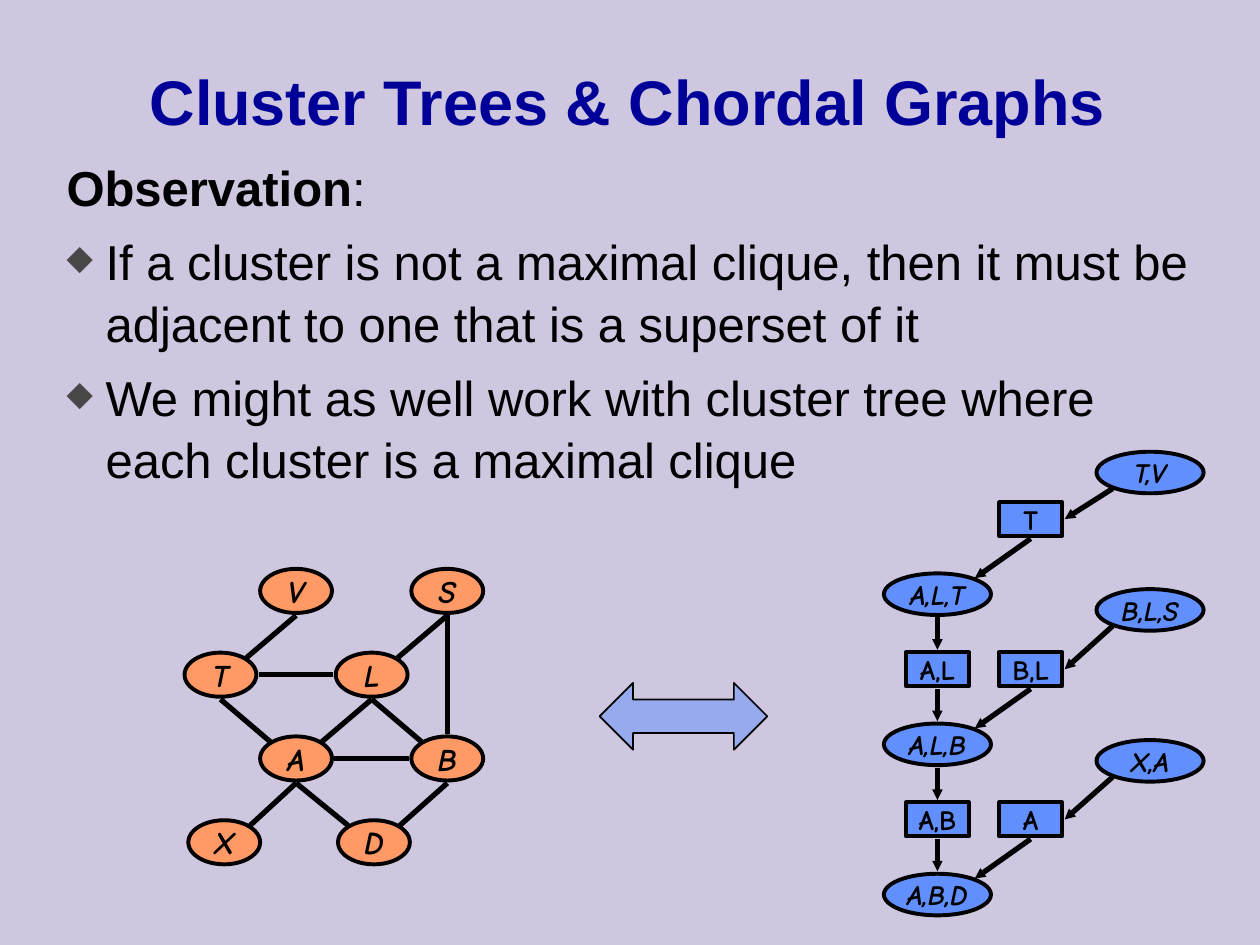
from dataclasses import dataclass

from lxml import etree
from pptx import Presentation
from pptx.dml.color import RGBColor
from pptx.enum.shapes import MSO_CONNECTOR, MSO_SHAPE
from pptx.enum.text import MSO_ANCHOR, PP_ALIGN
from pptx.oxml.ns import qn
from pptx.util import Inches, Pt

ELLIPSE, RECTANGLE = MSO_SHAPE.OVAL, MSO_SHAPE.RECTANGLE
DOUBLE_ARROW = MSO_SHAPE.LEFT_RIGHT_ARROW
STRAIGHT = MSO_CONNECTOR.STRAIGHT
MIDDLE, TOP_ANCHOR = MSO_ANCHOR.MIDDLE, MSO_ANCHOR.TOP
CENTER, LEFT_ALIGNED = PP_ALIGN.CENTER, PP_ALIGN.LEFT

BACKGROUND = RGBColor(0xCE, 0xC7, 0xDF)
NAVY = RGBColor(0x00, 0x00, 0x99)
BLACK = RGBColor(0x00, 0x00, 0x00)
ORANGE = RGBColor(0xFF, 0x99, 0x66)
BLUE = RGBColor(0x61, 0x8F, 0xFD)
BULLET_GRAY = RGBColor(0x47, 0x47, 0x47)
TEXT_FONT, NODE_FONT = "Arial", "Comic Neue"

# Anchors on a node, as shares of its half width and half height
TOP, BOTTOM, LEFT, RIGHT = (0, -1), (0, 1), (-1, 0), (1, 0)
UPPER_LEFT, UPPER_RIGHT, LOWER_LEFT = (-0.65, -0.65), (0.65, -0.65), (-0.65, 0.65)
EDGE_GAP = 0.02


@dataclass(frozen=True)
class Grid:
    """Centre of the first cell and the pitch, in inches."""
    left: float
    top: float
    column: float
    row: float


@dataclass(frozen=True)
class NodeStyle:
    shape_type: int
    width: float
    height: float
    fill: RGBColor
    font_size: int
    italic: bool


@dataclass(frozen=True)
class Node:
    label: str
    column: float
    row: float
    style: NodeStyle


@dataclass(frozen=True)
class Edge:
    start: str
    start_side: tuple
    end: str
    end_side: tuple


VERTEX = NodeStyle(ELLIPSE, 0.57, 0.35, ORANGE, 18, True)
CLUSTER = NodeStyle(ELLIPSE, 0.85, 0.33, BLUE, 16, True)
SEPARATOR = NodeStyle(RECTANGLE, 0.5, 0.27, BLUE, 16, False)

GRAPH_GRID = Grid(1.75, 4.69, 0.6, 0.665)
GRAPH_NODES = [
    Node(label, column, row, VERTEX)
    for label, column, row in [
        ("V", 1, 0), ("S", 3, 0), ("T", 0, 1), ("L", 2, 1),
        ("A", 1, 2), ("B", 3, 2), ("X", 0.05, 3), ("D", 2.03, 3),
    ]
]
GRAPH_EDGES = [
    Edge("V", BOTTOM, "T", UPPER_RIGHT), Edge("S", BOTTOM, "L", UPPER_RIGHT),
    Edge("S", BOTTOM, "B", TOP), Edge("T", RIGHT, "L", LEFT),
    Edge("T", BOTTOM, "A", UPPER_LEFT), Edge("L", BOTTOM, "A", UPPER_RIGHT),
    Edge("L", BOTTOM, "B", UPPER_LEFT), Edge("A", RIGHT, "B", LEFT),
    Edge("A", BOTTOM, "X", UPPER_RIGHT), Edge("A", BOTTOM, "D", UPPER_LEFT),
    Edge("B", BOTTOM, "D", UPPER_RIGHT),
]

TREE_GRID = Grid(7.44, 4.12, 0.74, 2.98 / 5)
TREE_NODES = [
    Node("T,V", 2.28, -0.62, CLUSTER), Node("B,L,S", 2.28, 1.21, CLUSTER),
    Node("X,A", 2.28, 3.22, CLUSTER), Node("A,L,T", 0, 1, CLUSTER),
    Node("A,L,B", 0, 3, CLUSTER), Node("A,B,D", 0, 5, CLUSTER),
    Node("T", 1, 0, SEPARATOR), Node("B,L", 1, 2, SEPARATOR),
    Node("A", 1, 4, SEPARATOR), Node("A,L", 0, 2, SEPARATOR),
    Node("A,B", 0, 4, SEPARATOR),
]
TREE_BRANCHES = [("T,V", "T", "A,L,T"), ("B,L,S", "B,L", "A,L,B"), ("X,A", "A", "A,B,D")]
TREE_TRUNK = ["A,L,T", "A,L", "A,L,B", "A,B", "A,B,D"]
TREE_EDGES = [Edge(upper, BOTTOM, lower, TOP) for upper, lower in zip(TREE_TRUNK, TREE_TRUNK[1:])]
for leaf, separator, parent in TREE_BRANCHES:
    TREE_EDGES.append(Edge(leaf, LOWER_LEFT, separator, RIGHT))
    TREE_EDGES.append(Edge(separator, BOTTOM, parent, UPPER_RIGHT))

BULLETS = [
    "If a cluster is not a maximal clique, then it must be adjacent to one that is a superset of it",
    "We might as well work with cluster tree where each cluster is a maximal clique",
]


def place(shape, left: float, top: float, width: float, height: float) -> None:
    shape.left, shape.top = Inches(left), Inches(top)
    shape.width, shape.height = Inches(width), Inches(height)


def add_run(paragraph, text: str, size: int, color: RGBColor, name=TEXT_FONT, bold=False, italic=False) -> None:
    run = paragraph.add_run()
    run.text = text
    font = run.font
    font.name, font.size, font.bold, font.italic = name, Pt(size), bold, italic
    font.color.rgb = color


def add_bullet(paragraph) -> None:
    properties = paragraph._p.get_or_add_pPr()
    properties.set("marL", str(Inches(0.31)))
    properties.set("indent", str(-Inches(0.31)))
    color = etree.SubElement(properties, qn("a:buClr"))
    etree.SubElement(color, qn("a:srgbClr"), val=str(BULLET_GRAY))
    etree.SubElement(properties, qn("a:buSzPct"), val="70000")
    etree.SubElement(properties, qn("a:buChar"), char="◆")


def add_observation(slide) -> None:
    box = slide.shapes.add_textbox(Inches(0.43), Inches(1.18), Inches(9.14), Inches(2.75))
    frame = box.text_frame
    frame.word_wrap, frame.vertical_anchor = True, TOP_ANCHOR
    heading = frame.paragraphs[0]
    add_run(heading, "Observation", 28, BLACK, bold=True)
    add_run(heading, ":", 28, BLACK)
    for text in BULLETS:
        paragraph = frame.add_paragraph()
        add_bullet(paragraph)
        paragraph.space_before = Pt(7)
        add_run(paragraph, text, 28, BLACK)
    for paragraph in frame.paragraphs:
        paragraph.alignment, paragraph.line_spacing = LEFT_ALIGNED, 1.05


def anchor_point(grid: Grid, node: Node, side: tuple) -> list:
    centers = grid.left + node.column * grid.column, grid.top + node.row * grid.row
    sizes = node.style.width, node.style.height
    return [
        Inches(center + share * size / 2 + EDGE_GAP * ((share > 0) - (share < 0)))
        for center, size, share in zip(centers, sizes, side)
    ]


def add_outlined_shape(slide, shape_type: int, bounds: tuple, fill: RGBColor, line_width: float):
    shape = slide.shapes.add_shape(shape_type, *map(Inches, bounds))
    shape.shadow.inherit = False
    shape.fill.solid()
    shape.fill.fore_color.rgb = fill
    shape.line.color.rgb, shape.line.width = BLACK, Pt(line_width)
    return shape


def add_node(slide, grid: Grid, node: Node) -> None:
    style = node.style
    left = grid.left + node.column * grid.column - style.width / 2
    top = grid.top + node.row * grid.row - style.height / 2
    shape = add_outlined_shape(slide, style.shape_type, (left, top, style.width, style.height), style.fill, 2.25)
    frame = shape.text_frame
    frame.word_wrap, frame.vertical_anchor = False, MIDDLE
    paragraph = frame.paragraphs[0]
    paragraph.alignment = CENTER
    add_run(paragraph, node.label, style.font_size, BLACK, NODE_FONT, True, style.italic)


def add_diagram(slide, grid: Grid, nodes: list, edges: list, directed: bool) -> None:
    by_label = {node.label: node for node in nodes}
    for node in nodes:
        add_node(slide, grid, node)
    for edge in edges:
        start = anchor_point(grid, by_label[edge.start], edge.start_side)
        end = anchor_point(grid, by_label[edge.end], edge.end_side)
        connector = slide.shapes.add_connector(STRAIGHT, *start, *end)
        connector.line.color.rgb, connector.line.width = BLACK, Pt(3)
        if directed:
            etree.SubElement(connector.line._get_or_add_ln(), qn("a:tailEnd"), type="triangle", w="sm", len="sm")
        etree.SubElement(connector._element.spPr, qn("a:effectLst"))


def main() -> None:
    presentation = Presentation()
    presentation.slide_width, presentation.slide_height = Inches(10), Inches(7.5)
    slide = presentation.slides.add_slide(presentation.slide_layouts.get_by_name("Title Only"))
    slide.background.fill.solid()
    slide.background.fill.fore_color.rgb = BACKGROUND
    title = slide.shapes.title
    place(title, 0.38, 0.17, 9.2, 1.25)
    title.text_frame.vertical_anchor = MIDDLE
    paragraph = title.text_frame.paragraphs[0]
    paragraph.alignment = CENTER
    add_run(paragraph, "Cluster Trees & Chordal Graphs", 36, NAVY, bold=True)
    add_observation(slide)
    add_diagram(slide, GRAPH_GRID, GRAPH_NODES, GRAPH_EDGES, directed=False)
    arrow = add_outlined_shape(slide, DOUBLE_ARROW, (4.76, 5.42, 1.33, 0.53), BLUE, 1)
    color = arrow._element.spPr.find(qn("a:solidFill")).find(qn("a:srgbClr"))
    etree.SubElement(color, qn("a:alpha"), val="50000")
    add_diagram(slide, TREE_GRID, TREE_NODES, TREE_EDGES, directed=True)
    presentation.save("out.pptx")


if __name__ == "__main__":
    main()
